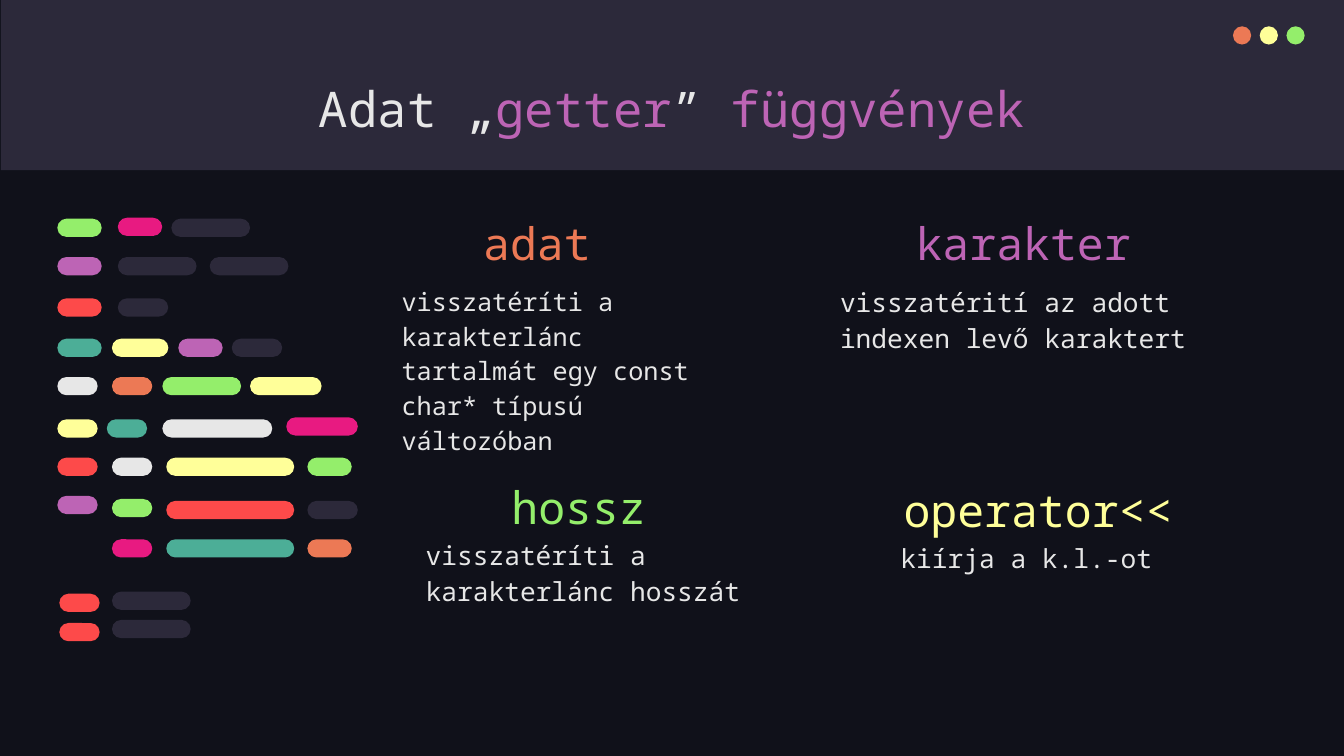
from pptx import Presentation
from pptx.dml.color import RGBColor
from pptx.enum.shapes import MSO_SHAPE
from pptx.enum.text import MSO_ANCHOR, MSO_AUTO_SIZE, PP_ALIGN
from pptx.util import Pt

RECT, OVAL, ROUND = MSO_SHAPE.RECTANGLE, MSO_SHAPE.OVAL, MSO_SHAPE.ROUNDED_RECTANGLE
TOP, MIDDLE, BOTTOM = MSO_ANCHOR.TOP, MSO_ANCHOR.MIDDLE, MSO_ANCHOR.BOTTOM
CENTER, LEFT = PP_ALIGN.CENTER, PP_ALIGN.LEFT
NO_AUTOFIT = MSO_AUTO_SIZE.NONE

FONT = "Noto Sans Mono"
NIGHT, SLATE, WHITE = "10111A", "2C293A", "E7E7E7"
ORANGE, YELLOW, GREEN = "EC7955", "FFFF99", "94EE6B"
PURPLE, PINK, RED, TEAL = "BD64B5", "E81A81", "FD4A4A", "4CAE97"

# Row top, then (left, shift down, width, colour) of each pill
CODE_ROWS = [
    (0, [(0, 0.7, 31.7, GREEN), (43.2, 0, 31.7, PINK), (81.4, 0.7, 56.2, SLATE)]),
    (28.1, [(0, 0, 31.7, PURPLE), (43.2, 0, 56.2, SLATE), (108.8, 0, 56.2, SLATE)]),
    (57.6, [(0, 0, 31.7, RED), (43.2, 0, 36, SLATE)]),
    (86.4, [(0, 0, 31.7, TEAL), (39, 0, 40.3, YELLOW), (86.4, 0, 31.7, PURPLE),
            (124.6, 0, 36, SLATE)]),
    (113.8, [(0, 0, 28.8, WHITE), (39, 0, 28.8, ORANGE), (75, 0, 56.2, GREEN),
             (137.6, 0, 51.1, YELLOW)]),
    (142.6, [(0, 1.4, 28.8, YELLOW), (35.3, 1.4, 28.8, TEAL), (75, 1.4, 78.5, WHITE),
             (163.5, 0, 51.1, PINK)]),
    (171.4, [(0, 0, 28.8, RED), (39, 0, 28.8, WHITE), (77.8, 0, 91.4, YELLOW),
             (178.6, 0, 31.7, GREEN)]),
    (198.7, [(0, 0, 28.8, PURPLE), (39, 2.2, 28.8, GREEN), (77.8, 3.6, 91.4, RED),
             (178.6, 3.6, 36, SLATE)]),
    (229.7, [(39, 0, 28.8, PINK), (77.8, 0, 91.4, TEAL), (178.6, 0, 31.7, ORANGE)]),
    (267.1, [(1.4, 1.5, 28.8, RED), (39, 0, 56.2, SLATE)]),
    (287.3, [(1.4, 2.2, 28.8, RED), (39, 0, 56.2, SLATE)]),
]

# Heading, colour, heading box, text, text size, text box
FUNCTIONS = [
    ("adat", ORANGE, (335.5, 149, 207.4, 53.3),
     "visszatéríti a karakterlánc tartalmát egy const char* típusú változóban",
     18, (277.2, 191.5, 255.6, 87.1)),
    ("karakter", PURPLE, (644.4, 149, 207.4, 53.3),
     "visszatérití az adott indexen levő karaktert",
     18.7, (590.4, 191.5, 344.9, 87.1)),
    ("hossz", GREEN, (355.7, 337.7, 207.4, 53.3),
     "visszatéríti a karakterlánc hosszát",
     18.7, (294.5, 372.2, 300.2, 87.1)),
    ("operator<<", YELLOW, (635.8, 339.8, 222.5, 53.3),
     "kiírja a k.l.-ot",
     18.7, (633.6, 374.4, 284.4, 87.1)),
]


def rgb(colour):
    return RGBColor.from_string(colour)


def add_filled(s, kind, box, colour):
    sp = s.shapes.add_shape(kind, *map(Pt, box))
    sp.shadow.inherit = False
    sp.fill.solid()
    sp.fill.fore_color.rgb = rgb(colour)
    sp.line.fill.background()
    return sp


def write_text(sp, runs, size, anchor, align, spacing):
    """Fill one paragraph with (text, colour) runs."""
    tf = sp.text_frame
    tf.word_wrap = True
    tf.auto_size = NO_AUTOFIT
    tf.vertical_anchor = anchor
    tf.margin_left = tf.margin_right = tf.margin_top = tf.margin_bottom = Pt(9.6)
    p = tf.paragraphs[0]
    p.alignment = align
    p.line_spacing = spacing
    p.space_before = Pt(0)
    for text, colour in runs:
        r = p.add_run()
        r.text = text
        r.font.name = FONT
        r.font.size = Pt(size)
        r.font.color.rgb = rgb(colour)


def add_header(s, left, top, width, height):
    band = add_filled(s, RECT, (left, top, width, height), SLATE)
    title = s.shapes.title
    band._element.addnext(title._element)
    title.left, title.top = Pt(left + 75), Pt(top + 46.8)
    title.width, title.height = Pt(808.6), Pt(60.5)
    write_text(title, [("Adat „", WHITE), ("getter", PURPLE), ("” ", WHITE),
                       ("függvények", PURPLE)], 35, MIDDLE, CENTER, 1.0)
    for i, colour in enumerate((ORANGE, YELLOW, GREEN)):
        add_filled(s, OVAL, (left + 880 + 19.1 * i, top + 18.8, 13, 13), colour)


def add_code_pills(s, left, top):
    for row_top, pills in CODE_ROWS:
        for x, shift, width, colour in pills:
            box = (left + x, top + row_top + shift, width, 13)
            add_filled(s, ROUND, box, colour).adjustments[0] = 0.5


def add_function(s, name, colour, name_box, text, size, text_box):
    sp = s.shapes.add_textbox(*map(Pt, text_box))
    write_text(sp, [(text, WHITE)], size, TOP, LEFT, 1.15)
    sp = s.shapes.add_textbox(*map(Pt, name_box))
    write_text(sp, [(name, colour)], 32, BOTTOM, LEFT, 1.15)


def main():
    prs = Presentation()
    prs.slide_width, prs.slide_height = Pt(960), Pt(540)
    s = prs.slides.add_slide(prs.slide_layouts[5])
    s.background.fill.solid()
    s.background.fill.fore_color.rgb = rgb(NIGHT)
    add_header(s, 0.7, 0, 959.3, 121.6)
    for function in FUNCTIONS:
        add_function(s, *function)
    add_code_pills(s, 41, 155.5)
    prs.save("out.pptx")


if __name__ == "__main__":
    main()
